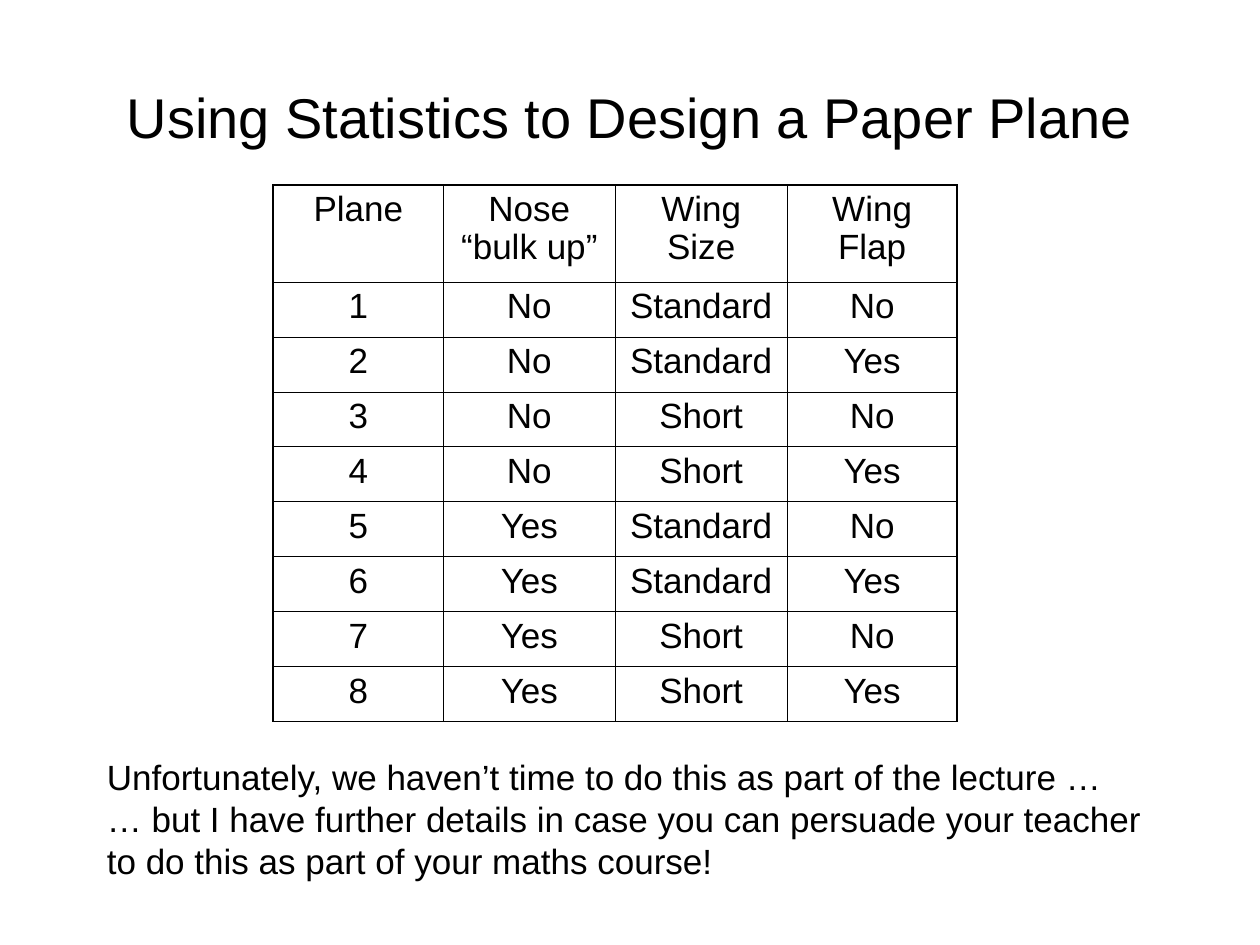
"""Build the slide on designing a paper plane with statistics."""
import itertools
import pptx
import pptx.dml.color
import pptx.enum.text
import pptx.oxml
import pptx.util
from pptx.oxml.ns import nsdecls

Pt = pptx.util.Pt
ALIGN = pptx.enum.text.PP_ALIGN
ANCHOR = pptx.enum.text.MSO_ANCHOR
INK = "000000"
THICK, THIN = 1.08, 0.45


def style(para, size, align, space):
    para.alignment = align
    para.line_spacing = space
    para.font.size = Pt(size)
    para.font.name = "Arial"
    para.font.color.rgb = pptx.dml.color.RGBColor.from_string(INK)


def border(cell, side, width):
    cell._tc.get_or_add_tcPr().append(pptx.oxml.parse_xml(
        f'<a:ln{side} {nsdecls("a")} w="{Pt(width)}"><a:solidFill>'
        f'<a:srgbClr val="{INK}"/></a:solidFill></a:ln{side}>'))


deck = pptx.Presentation()
deck.slide_width, deck.slide_height = Pt(720), Pt(540)
slide = deck.slides.add_slide(deck.slide_layouts[6])

title = slide.shapes.add_textbox(Pt(36), Pt(21.6), Pt(648), Pt(90)).text_frame
title.word_wrap = True
title.vertical_anchor = ANCHOR.MIDDLE
title.text = "Using Statistics to Design a Paper Plane"
style(title.paragraphs[0], 32, ALIGN.CENTER, 1.0)

heads = ["Plane", "Nose “bulk up”", "Wing Size", "Wing Flap"]
plans = itertools.product(["No", "Yes"], ["Standard", "Short"], ["No", "Yes"])
rows = [heads] + [[str(num), *plan] for num, plan in enumerate(plans, 1)]
widths = [97.2, 98.2, 98.2, 97.2]
heights = [55.4] + [31.4] * 8

table = slide.shapes.add_table(len(rows), len(heads), Pt(156.2), Pt(105.8),
                               Pt(sum(widths)), Pt(sum(heights))).table
table.first_row = table.horz_banding = False
for col, width in zip(table.columns, widths):
    col.width = Pt(width)
for row, height in zip(table.rows, heights):
    row.height = Pt(height)

for r, row in enumerate(rows):
    for c, text in enumerate(row):
        cell = table.cell(r, c)
        cell.text = text
        style(cell.text_frame.paragraphs[0], 20, ALIGN.CENTER, 0.97)
        edges = {"L": c == 0, "R": c == len(row) - 1,
                 "T": r == 0, "B": r == len(rows) - 1}
        for side, outer in edges.items():
            border(cell, side, THICK if outer else THIN)
        cell.fill.background()

note = slide.shapes.add_textbox(Pt(54), Pt(428.4), Pt(612), Pt(79.2)).text_frame
note.word_wrap = True
note.text = (
    "Unfortunately, we haven’t time to do this as part of the lecture …\n"
    "… but I have further details in case you can persuade your teacher "
    "to do this as part of your maths course!")
for para in note.paragraphs:
    style(para, 20, ALIGN.LEFT, Pt(24))

deck.save("out.pptx")
